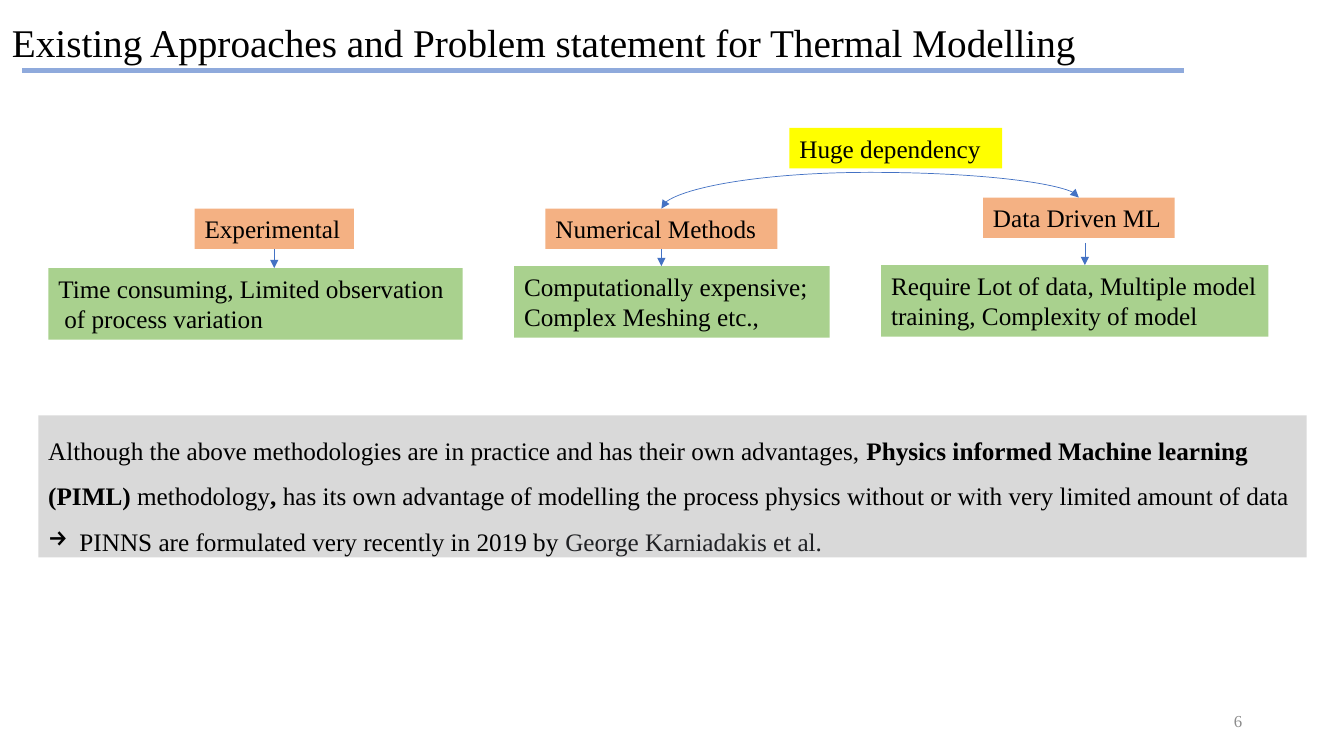
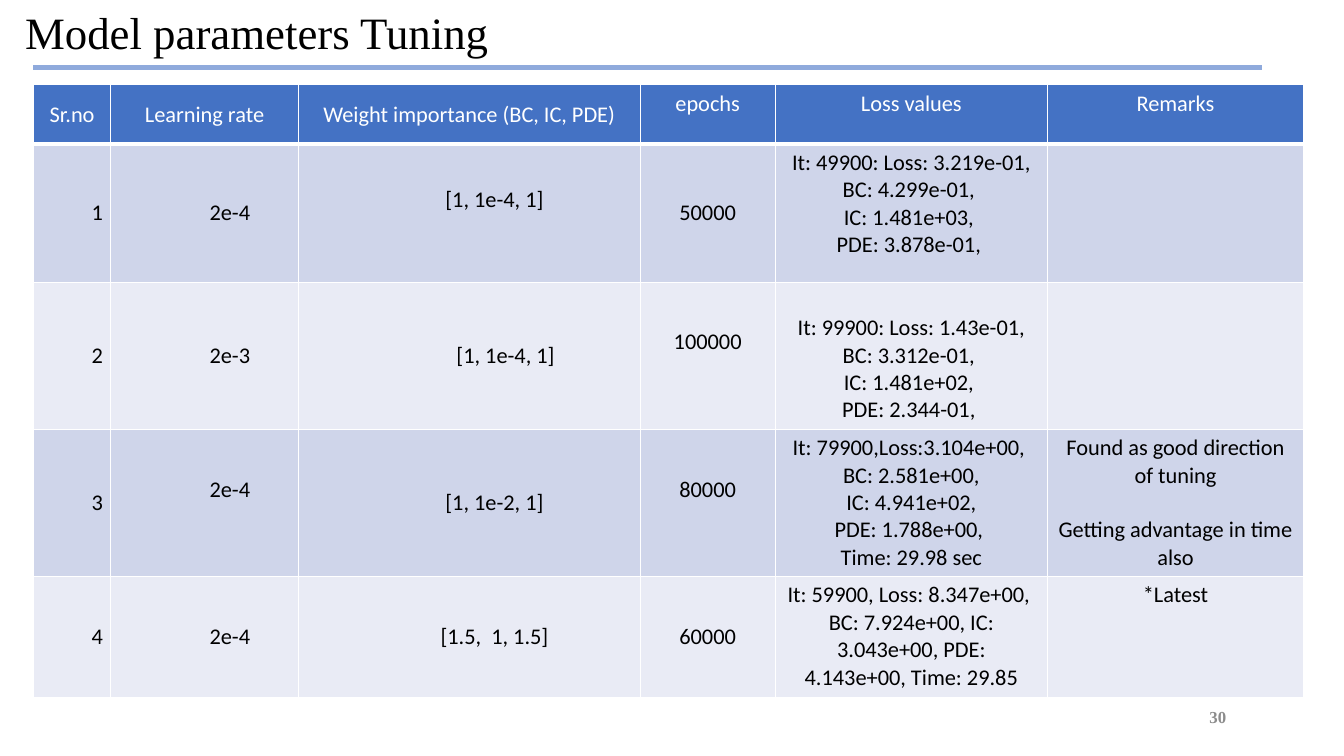
from lxml import etree
from pptx import Presentation
from pptx import util as u
from pptx.dml.color import RGBColor
from pptx.enum import shapes, text
from pptx.oxml.ns import qn

# Shared scale, colours and fonts
PX = 9144  # EMU in one px, 100 px to the inch
SERIF, SANS = "Times New Roman", "Calibri"
BLACK, WHITE, GREY, DARK = "000000", "FFFFFF", "8C8C8C", "202124"
BLUE, RULE_BLUE = "4472C4", "8FAADC"
ORANGE, GREEN, YELLOW, PANEL = "F4B183", "A9D18E", "FFFF00", "D9D9D9"
BANDS = ("CFD5EA", "E9EBF5")
CENTER, RIGHT = text.PP_ALIGN.CENTER, text.PP_ALIGN.RIGHT
TOP, MIDDLE = text.MSO_ANCHOR.TOP, text.MSO_ANCHOR.MIDDLE


def px(length):
    return u.Emu(round(length * PX))


def color(value):
    return RGBColor.from_string(value)


def add_run(paragraph, words, size, ink=BLACK, bold=False, font=SERIF):
    run = paragraph.add_run()
    run.text = words
    run.font.name, run.font.size, run.font.bold = font, u.Pt(size), bold
    run.font.color.rgb = color(ink)


def next_paragraph(frame, index):
    return frame.add_paragraph() if index else frame.paragraphs[0]


def indent(paragraph, left, first=0):
    properties = paragraph._p.get_or_add_pPr()
    properties.set("marL", str(px(left)))
    properties.set("indent", str(px(first)))


def add_text(slide, box, lines, size, fill=None, ink=BLACK, bold=False, align=None, anchor=TOP):
    shape = slide.shapes.add_textbox(*map(px, box))
    if fill:
        shape.fill.solid()
        shape.fill.fore_color.rgb = color(fill)
    frame = shape.text_frame
    frame.word_wrap = True
    frame.vertical_anchor = anchor
    for index, line in enumerate(lines):
        paragraph = next_paragraph(frame, index)
        paragraph.alignment = align
        add_run(paragraph, line, size, ink, bold)
    return shape


def add_line(slide, start, end, ink, weight, arrows=(), kind=shapes.MSO_CONNECTOR.STRAIGHT):
    connector = slide.shapes.add_connector(kind, *map(px, (*start, *end)))
    connector.line.color.rgb = color(ink)
    connector.line.width = u.Pt(weight)
    for arrow in arrows:
        etree.SubElement(connector.line._get_or_add_ln(), qn(f"a:{arrow}"), type="triangle")
    etree.SubElement(connector._element.spPr, qn("a:effectLst"))
    return connector


# Title, rule and page number
def add_frame(slide, title, title_box, size, rule, number, number_box, bold=False):
    add_text(slide, title_box, [title], size)
    left, top, width = rule
    add_line(slide, (left, top), (left + width, top), RULE_BLUE, 3)
    add_text(slide, number_box, [number], 12, ink=GREY, bold=bold, align=RIGHT, anchor=MIDDLE)


# One method: heading, arrow and drawbacks
def add_method(slide, name, name_box, drawbacks, drawback_box, arrow):
    heading = add_text(slide, name_box, [name], 18, ORANGE)
    detail = add_text(slide, drawback_box, drawbacks, 18, GREEN)
    for paragraph in detail.text_frame.paragraphs[1:]:
        indent(paragraph, 6)
    x, top = arrow
    connector = add_line(slide, (x, top), (x, drawback_box[1]), BLUE, 0.5, ["tailEnd"])
    if top == name_box[1] + name_box[3]:
        connector.begin_connect(heading, 2)


# Double-headed arc that rises above both of its ends
def add_arc(slide, start, end, peak):
    span, rise = end[0] - start[0], start[1] - end[1]
    middle_x, middle_y = (start[0] + end[0]) / 2, (start[1] + end[1]) / 2
    connector = add_line(
        slide, (middle_x + rise / 2, middle_y + span / 2),
        (middle_x - rise / 2, middle_y - span / 2),
        BLUE, 0.5, ["headEnd", "tailEnd"], shapes.MSO_CONNECTOR.CURVE)
    properties = connector._element.spPr
    properties.find(qn("a:xfrm")).set("rot", "5400000")
    geometry = properties.find(qn("a:prstGeom"))
    guides = geometry.find(qn("a:avLst"))
    if guides is None:
        guides = etree.SubElement(geometry, qn("a:avLst"))
    bend = round((start[1] - peak) / rise * 100000)
    etree.SubElement(guides, qn("a:gd"), name="adj1", fmla=f"val {bend}")


# Grey panel with the summary
def add_summary(slide, box):
    shape = add_text(slide, box, [], 18, PANEL)
    statement = shape.text_frame.paragraphs[0]
    for words, bold in (
        ("Although the above methodologies are in practice and has their own advantages, ", False),
        ("Physics informed Machine learning (PIML) ", True),
        ("methodology", False),
        (", ", True),
        ("has its own advantage of modelling the process physics without or with very "
         "limited amount of data", False),
    ):
        add_run(statement, words, 18, bold=bold)
    origin = shape.text_frame.add_paragraph()
    statement.line_spacing = origin.line_spacing = 1.5
    indent(origin, 31, -31)
    etree.SubElement(origin._p.get_or_add_pPr(), qn("a:buChar"), char="→")
    add_run(origin, "PINNS are formulated very recently in 2019 by ", 18)
    add_run(origin, "George Karniadakis et al.", 18, DARK)


# Table parts
def set_borders(cell, top, bottom):
    properties = cell._tc.get_or_add_tcPr()
    for side, weight in (("L", 1), ("R", 1), ("T", top), ("B", bottom)):
        line = etree.SubElement(properties, qn(f"a:ln{side}"), w=str(u.Pt(weight)))
        fill = etree.SubElement(line, qn("a:solidFill"))
        etree.SubElement(fill, qn("a:srgbClr"), val=WHITE)


def fill_cell(cell, lines, fill, ink, anchor, left=0, gap=0):
    cell.fill.solid()
    cell.fill.fore_color.rgb = color(fill)
    cell.vertical_anchor = anchor
    for index, line in enumerate(lines):
        paragraph = next_paragraph(cell.text_frame, index)
        paragraph.alignment = CENTER
        if left:
            paragraph.level = 1
            indent(paragraph, left)
        if index and gap:
            paragraph.space_before = u.Pt(gap)
        add_run(paragraph, line, 16, ink, font=SANS)


def add_tuning_table(slide, left, top, widths, heights, header, trials):
    box = (left, top, sum(widths), sum(heights))
    table = slide.shapes.add_table(len(heights), len(widths), *map(px, box)).table
    for column, width in zip(table.columns, widths):
        column.width = px(width)
    for row, height in zip(table.rows, heights):
        row.height = px(height)
    for row, values in enumerate([header, *trials]):
        for column, value in enumerate(values):
            cell = table.cell(row, column)
            set_borders(cell, 3 if row == 1 else 1, 1 if row else 3)
            lines = value if isinstance(value, list) else [value] if value else []
            if row == 0:
                fill_cell(cell, lines, BLUE, WHITE, MIDDLE if column < 3 else TOP)
            else:
                fill_cell(cell, lines, BANDS[(row - 1) % 2], BLACK,
                          MIDDLE if column < 4 else TOP,
                          left=(72 if (row, column) == (2, 2) else 50) if column < 3 else 0,
                          gap=19.5 if column == 5 else 0)
    # Cells whose text sits half a line higher, and one that starts a line lower
    for row, column in ((1, 2), (2, 3), (3, 1), (3, 3)):
        table.cell(row, column).margin_bottom = px(32)
    table.cell(2, 4).margin_top = px(32)


def build_approaches(slide):
    add_frame(slide, "Existing Approaches and Problem statement for Thermal Modelling",
              (2, 13, 1331, 57), 28, (22, 70, 1152), "6", (942, 695, 300, 40))
    add_method(slide, "Experimental", (193, 207, 158, 40),
               ["Time consuming, Limited observation", "of process variation"],
               (48, 266, 411, 71), (272, 247))
    add_method(slide, "Numerical Methods", (541, 207, 230, 40),
               ["Computationally expensive; Complex Meshing etc.,"],
               (510, 264, 313, 71), (656, 247))
    add_method(slide, "Data Driven ML", (975, 196, 190, 40),
               ["Require Lot of data, Multiple model training, Complexity of model"],
               (874, 263, 384, 71), (1076, 241))
    add_arc(slide, (656, 207), (1070, 196), 171)
    add_text(slide, (783, 127, 211, 40), ["Huge dependency"], 18, YELLOW)
    add_summary(slide, (38, 412, 1258, 141))


def build_tuning(slide):
    header = ["Sr.no", "Learning rate", "Weight importance (BC, IC, PDE)",
              "epochs", "Loss values", "Remarks"]
    trials = [
        ["1", "2e-4", "[1, 1e-4, 1]", "50000",
         ["It: 49900: Loss: 3.219e-01, BC: 4.299e-01, ", "IC: 1.481e+03, ",
          "PDE: 3.878e-01, "], ""],
        ["2", "2e-3", "[1, 1e-4, 1]", "100000",
         ["It: 99900: Loss: 1.43e-01, BC: 3.312e-01, ", "IC: 1.481e+02, ",
          "PDE: 2.344-01, "], ""],
        ["3", "2e-4", "[1, 1e-2, 1]", "80000",
         ["It: 79900,Loss:3.104e+00, ", "BC: 2.581e+00,", "IC: 4.941e+02,",
          "PDE: 1.788e+00, ", "Time: 29.98 sec"],
         ["Found as good direction of tuning", "Getting advantage in time also"]],
        ["4", "2e-4", "[1.5,  1, 1.5]", "60000",
         ["It: 59900, Loss: 8.347e+00, ",
          "BC: 7.924e+00, IC: 3.043e+00, PDE: 4.143e+00, Time: 29.85"], "*Latest"],
    ]
    add_tuning_table(slide, 33, 84, (77, 186, 339, 134, 270, 254),
                     (59, 137, 146, 146, 120), header, trials)
    add_frame(slide, "Model parameters Tuning", (15, 0, 1091, 64), 32,
              (33, 67, 1219), "30", (926, 691, 300, 40), bold=True)


def main():
    presentation = Presentation()
    presentation.slide_width, presentation.slide_height = px(1333), px(750)
    for build in (build_approaches, build_tuning):
        build(presentation.slides.add_slide(presentation.slide_layouts[6]))
    presentation.save("out.pptx")


if __name__ == "__main__":
    main()
